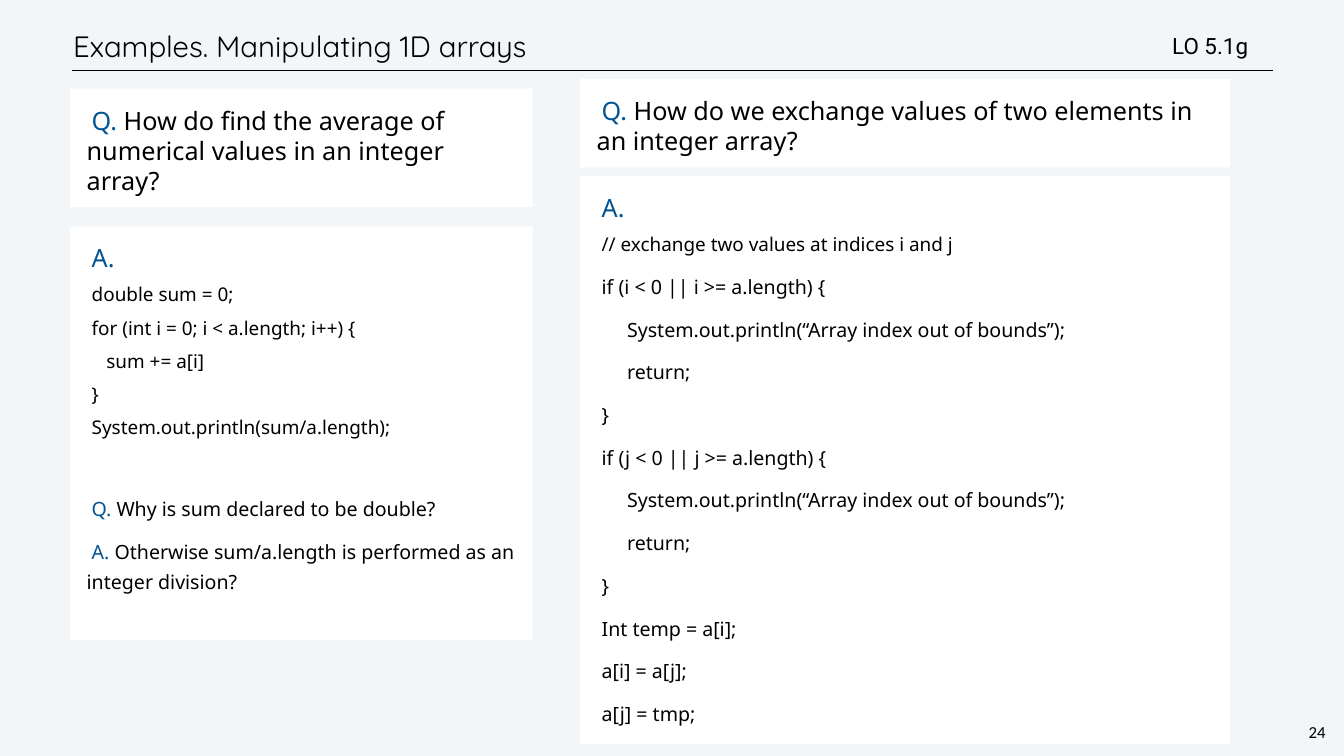
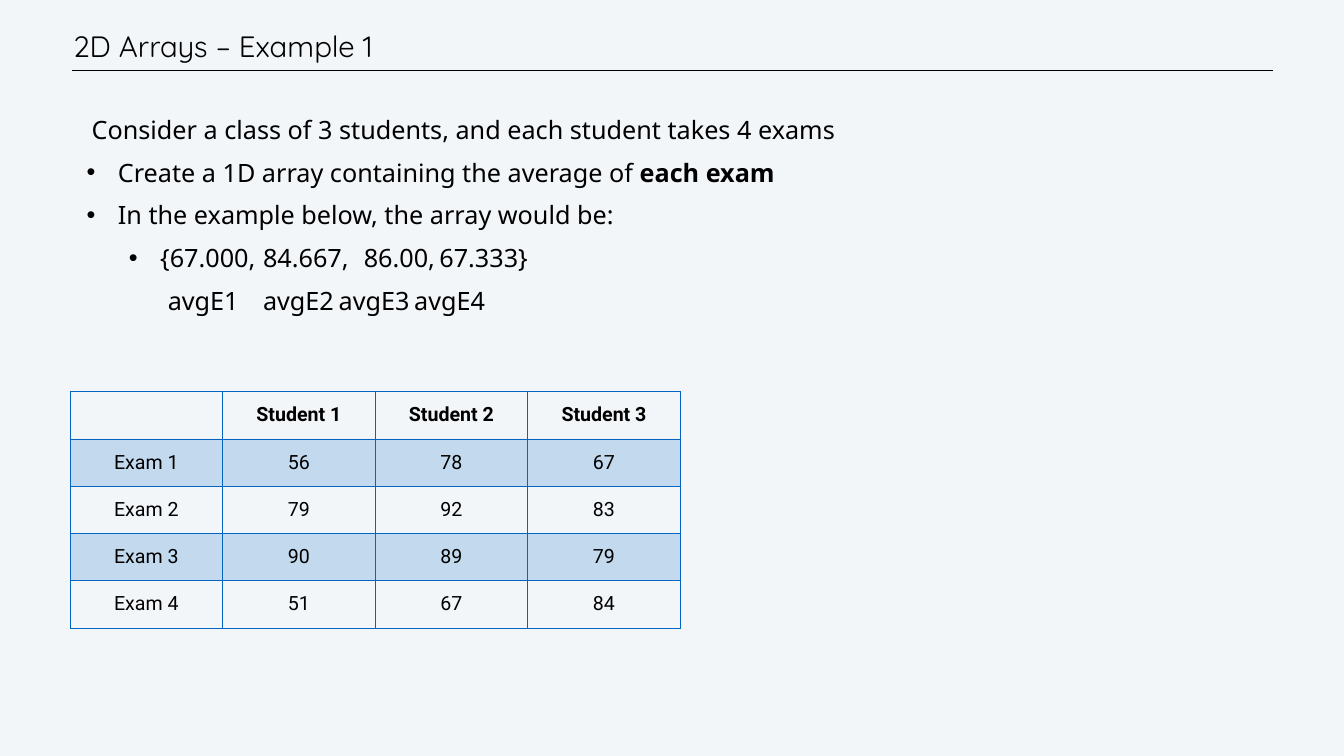
from lxml import etree
from pptx import Presentation
from pptx.dml.color import RGBColor
from pptx.enum.shapes import MSO_CONNECTOR, MSO_SHAPE
from pptx.enum.text import MSO_ANCHOR, PP_ALIGN
from pptx.oxml.ns import qn
from pptx.util import Inches, Pt

STRAIGHT = MSO_CONNECTOR.STRAIGHT
RECTANGLE = MSO_SHAPE.RECTANGLE
TOP, MIDDLE = MSO_ANCHOR.TOP, MSO_ANCHOR.MIDDLE
LEFT, CENTER = PP_ALIGN.LEFT, PP_ALIGN.CENTER

BLACK, WHITE, PALE = "000000", "FFFFFF", "F3F6F9"
LABEL_BLUE, TABLE_BLUE = "005493", "0365C0"
TITLE_FONT, BODY_FONT, TABLE_FONT, NUMBER_FONT = "Quicksand", "Noto Sans", "Roboto", "Calibri"


def color(value):
    return RGBColor.from_string(value)


def child(parent, tag, **attributes):
    return etree.SubElement(parent, qn(tag), {key: str(value) for key, value in attributes.items()})


def line(spans, size=36, spacing=Pt(43), before=18, indent=0.1, left=0,
         bullet=False, tabs=(), font=BODY_FONT, align=LEFT):
    if isinstance(spans, str):
        spans = [(spans, BLACK, False)]
    return dict(spans=spans, size=size, spacing=spacing, before=before, indent=indent,
                left=left, bullet=bullet, tabs=tabs, font=font, align=align)


def labelled(label, text="", **style):
    spans = [(label + " ", LABEL_BLUE, False), (text, BLACK, False)]
    return line(spans if text else [(label, LABEL_BLUE, False)], **style)


def code(text):
    return line(text, size=27, spacing=0.9)


class Deck:
    def __init__(self):
        self.deck = Presentation()
        self.deck.slide_width = Inches(26.67)
        self.deck.slide_height = Inches(15)
        self.page = None

    def add_page(self, title):
        self.page = self.deck.slides.add_slide(self.deck.slide_layouts[6])
        background = self.page.background.fill
        background.solid()
        background.fore_color.rgb = color(PALE)
        rule = self.page.shapes.add_connector(
            STRAIGHT, Inches(1.42), Inches(1.4), Inches(25.27), Inches(1.4))
        rule.line.color.rgb = color(BLACK)
        rule.line.width = Pt(1)
        child(rule._element.spPr, "a:effectLst")
        self.text((1.39, 0.42, 22.62, 0.99),
                  [line(title, size=42, spacing=Pt(50), indent=0, font=TITLE_FONT)],
                  inset=0.06, anchor=MIDDLE)

    def text(self, place, lines, inset=0.33, anchor=TOP, wrap=True):
        box = self.page.shapes.add_textbox(*map(Inches, place))
        self.set_lines(box.text_frame, lines, inset, anchor, wrap)

    def card(self, place, lines):
        box = self.page.shapes.add_shape(RECTANGLE, *map(Inches, place))
        box.shadow.inherit = False
        box.fill.solid()
        box.fill.fore_color.rgb = color(WHITE)
        box.line.fill.background()
        self.set_lines(box.text_frame, lines)

    def set_lines(self, frame, lines, inset=0.33, anchor=TOP, wrap=True):
        frame.word_wrap = wrap
        frame.vertical_anchor = anchor
        frame.margin_left = frame.margin_right = Inches(inset)
        frame.margin_top = frame.margin_bottom = Inches(inset)
        for index, style in enumerate(lines):
            para = frame.add_paragraph() if index else frame.paragraphs[0]
            para.alignment = style["align"]
            para.line_spacing = style["spacing"]
            para.space_before = Pt(style["before"] if index else 0)
            properties = para._p.get_or_add_pPr()
            properties.set("marL", str(Inches(style["left"])))
            properties.set("indent", str(Inches(style["indent"])))
            if style["bullet"]:
                child(properties, "a:buFont", typeface="Arial")
                child(properties, "a:buChar", char="•")
            else:
                child(properties, "a:buNone")
            if style["tabs"]:
                stops = child(properties, "a:tabLst")
                for stop in style["tabs"]:
                    child(stops, "a:tab", pos=Inches(stop), algn="l")
            self.set_font(para.font, style["font"], style["size"])
            for text, shade, bold in style["spans"]:
                span = para.add_run()
                span.text = text
                span.font.color.rgb = color(shade)
                if bold:
                    span.font.bold = True

    def set_font(self, font, name, size, bold=False):
        font.name = name
        font.size = Pt(size)
        font.bold = bold
        font.color.rgb = color(BLACK)

    def table(self, place, rows):
        frame = self.page.shapes.add_table(len(rows), len(rows[0]), *map(Inches, place))
        grid = frame.table
        grid.first_row = grid.horz_banding = False
        for row, values in enumerate(rows):
            for column, value in enumerate(values):
                cell = grid.cell(row, column)
                cell.vertical_anchor = MIDDLE
                self.border(cell)
                if row % 2:
                    cell.fill.solid()
                    cell.fill.fore_color.rgb = color(TABLE_BLUE)
                    shade = cell._tc.tcPr.find(qn("a:solidFill"))[0]
                    child(shade, "a:alpha", val=20000)
                else:
                    cell.fill.background()
                para = cell.text_frame.paragraphs[0]
                para.alignment = CENTER
                self.set_font(para.font, TABLE_FONT, 28, bold=row == 0)
                if value:
                    para.add_run().text = value

    def border(self, cell):
        properties = cell._tc.get_or_add_tcPr()
        for side in ("a:lnL", "a:lnR", "a:lnT", "a:lnB"):
            edge = child(properties, side, w=Pt(1))
            child(child(edge, "a:solidFill"), "a:srgbClr", val=TABLE_BLUE)


def add_manipulating_page(deck):
    deck.add_page("Examples. Manipulating 1D arrays")
    deck.card((1.39, 1.76, 9.18, 2.35), [
        labelled("Q.", "How do find the average of numerical values in an integer array?")])
    deck.text((25.92, 14.29, 0.43, 0.47),
              [line("24", size=24, spacing=Pt(28), indent=0, font=NUMBER_FONT, align=CENTER)],
              inset=0.04, wrap=False)
    average_code = [
        "double sum = 0;",
        "for (int i = 0; i < a.length; i++) {",
        "   sum += a[i]",
        "}",
        "System.out.println(sum/a.length);",
    ]
    deck.card((1.39, 4.49, 9.18, 8.21), [
        labelled("A."),
        *map(code, average_code),
        labelled("Q.", "Why is sum declared to be double?", size=28, before=75),
        labelled("A.", "Otherwise sum/a.length is performed as an integer division?", size=28)])
    deck.card((11.51, 1.57, 12.9, 1.75), [
        labelled("Q.", "How do we exchange values of two elements in an integer array?")])
    exchange_code = []
    for index in "ij":
        exchange_code += [
            f"if ({index} < 0 || {index} >= a.length) {{",
            "     System.out.println(“Array index out of bounds”);",
            "     return;",
            "}",
        ]
    exchange_code += ["Int temp = a[i];", "a[i] = a[j];", "a[j] = tmp;"]
    deck.card((11.51, 3.49, 12.9, 11.27), [
        labelled("A."),
        code("// exchange two values at indices i and j"),
        *[line(text, size=28) for text in exchange_code]])
    deck.text((23.2, 0.58, 2.99, 0.65),
              [line("LO 5.1g", size=32, spacing=1.0, indent=0, font=TABLE_FONT)],
              inset=0.06, anchor=MIDDLE)


def add_exams_page(deck):
    deck.add_page("2D Arrays – Example 1")
    bullet = dict(left=0.62, indent=-0.62, bullet=True)
    deck.text((1.39, 1.94, 22.97, 6.01), [
        line("Consider a class of 3 students, and each student takes 4 exams"),
        line([("Create a 1D array containing the average of ", BLACK, False),
              ("each exam", BLACK, True)], **bullet),
        line("In the example below, the array would be:", **bullet),
        line("{67.000,\t84.667,\t86.00,\t67.333}", left=1.46, indent=-0.62, bullet=True),
        line("avgE1\tavgE2\tavgE3\tavgE4", indent=1.61, tabs=(3.54, 5.6, 7.66))])
    deck.table((1.39, 7.77, 12.11, 4.69), [
        ("", "Student 1", "Student 2", "Student 3"),
        ("Exam 1", "56", "78", "67"),
        ("Exam 2", "79", "92", "83"),
        ("Exam 3", "90", "89", "79"),
        ("Exam 4", "51", "67", "84")])


def main():
    deck = Deck()
    add_manipulating_page(deck)
    add_exams_page(deck)
    deck.deck.save("out.pptx")


if __name__ == "__main__":
    main()
